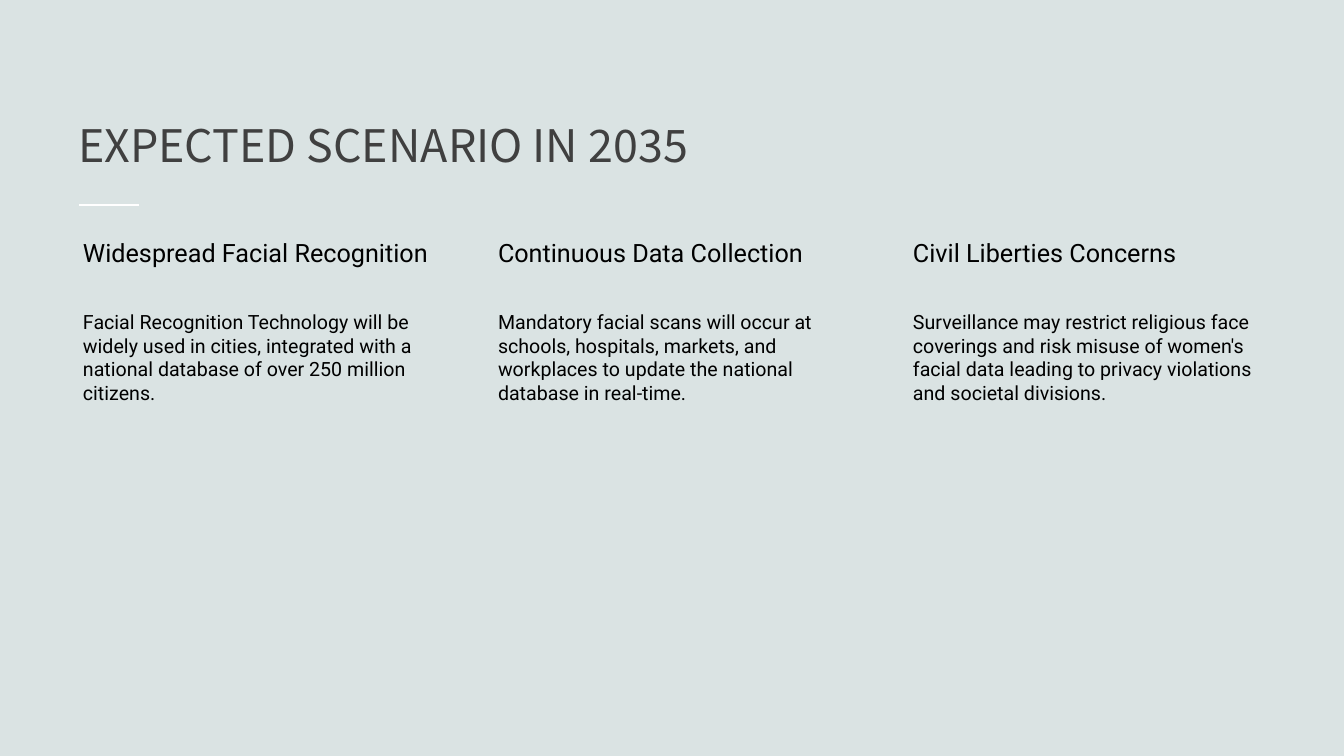
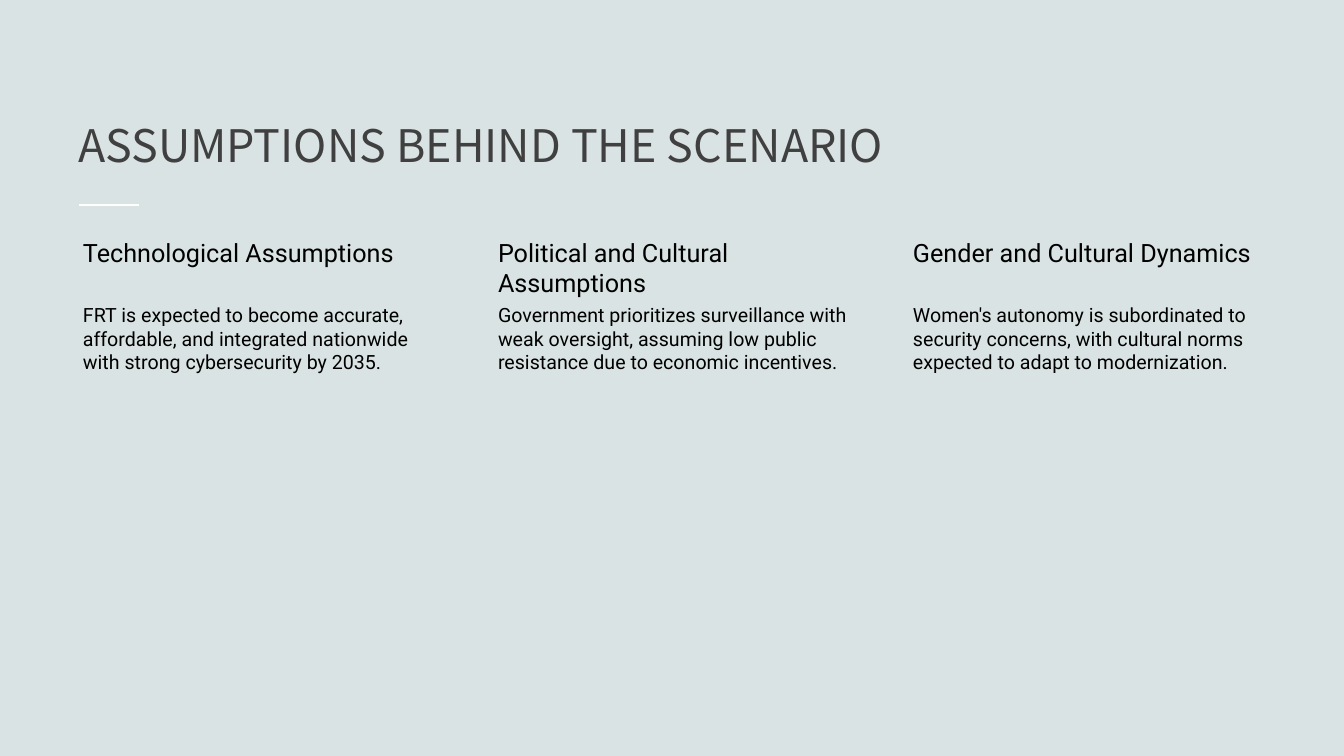
from pptx import Presentation
from pptx.dml.color import RGBColor
from pptx.enum.shapes import MSO_CONNECTOR
from pptx.enum.text import MSO_ANCHOR, MSO_AUTO_SIZE, PP_ALIGN
from pptx.oxml.ns import qn
from pptx.util import Emu, Pt
from lxml.etree import SubElement

SLIDES = [
    {
        "title": "EXPECTED SCENARIO IN 2035",
        "heading_height": 44,
        "body_top": 308,
        "columns": [
            ("Widespread Facial Recognition",
             "Facial Recognition Technology will be widely used in cities, integrated "
             "with a national database of over 250 million citizens."),
            ("Continuous Data Collection",
             "Mandatory facial scans will occur at schools, hospitals, markets, and "
             "workplaces to update the national database in real-time."),
            ("Civil Liberties Concerns",
             "Surveillance may restrict religious face coverings and risk misuse of "
             "women's facial data leading to privacy violations and societal divisions."),
        ],
    },
    {
        "title": "ASSUMPTIONS BEHIND THE SCENARIO",
        "heading_height": 67,
        "body_top": 301,
        "columns": [
            ("Technological Assumptions",
             "FRT is expected to become accurate, affordable, and integrated nationwide "
             "with strong cybersecurity by 2035."),
            ("Political and Cultural Assumptions",
             "Government prioritizes surveillance with weak oversight, assuming low "
             "public resistance due to economic incentives."),
            ("Gender and Cultural Dynamics",
             "Women's autonomy is subordinated to security concerns, with cultural "
             "norms expected to adapt to modernization."),
        ],
    },
]

BACKGROUND = RGBColor(0xDA, 0xE3, 0xE3)
TITLE_GRAY = RGBColor(0x40, 0x40, 0x40)
BLACK = RGBColor(0, 0, 0)
WHITE = RGBColor(0xFF, 0xFF, 0xFF)

TITLE_FONT = {"name": "Noto Sans CJK KR", "size": Pt(32), "color": TITLE_GRAY}
HEADING_FONT = {"name": "Roboto", "size": Pt(18), "color": BLACK}
BODY_FONT = {"name": "Roboto", "size": Pt(14), "color": BLACK}

PAGE_WIDTH, PAGE_HEIGHT = 1344, 756
LEFT, RIGHT, BOTTOM = 68, 1276, 681
TITLE_TOP, TITLE_HEIGHT = 79, 97
RULE_LEFT, RULE_WIDTH, RULE_TOP = 79, 60, 205
HEADING_TOP = 234
COLUMN_WIDTH, COLUMN_GAP = 378, 37
TEXT_INDENT, HEADING_INSET, BODY_INSET = 15, 3, 2


def px(length):
    return Emu(round(length * 12192000 / PAGE_WIDTH))


def place(shape, left, top, width, height):
    shape.left, shape.top = px(left), px(top)
    shape.width, shape.height = px(width), px(height)


def write(frame, text, style):
    para = frame.paragraphs[0]
    para.alignment = PP_ALIGN.LEFT
    span = para.add_run()
    span.text = text
    for name, value in style.items():
        if name == "color":
            span.font.color.rgb = value
        else:
            setattr(span.font, name, value)
    return para


def add_title(page, text):
    title = page.shapes.title
    place(title, LEFT, TITLE_TOP, RIGHT - LEFT, TITLE_HEIGHT)
    frame = title.text_frame
    frame.auto_size = MSO_AUTO_SIZE.NONE
    frame.vertical_anchor = MSO_ANCHOR.BOTTOM
    write(frame, text, TITLE_FONT).line_spacing = 0.8


def add_rule(page):
    """Draw the short white line under the title."""
    rule = page.shapes.add_connector(
        MSO_CONNECTOR.STRAIGHT, px(RULE_LEFT), px(RULE_TOP),
        px(RULE_LEFT + RULE_WIDTH), px(RULE_TOP))
    rule.line.color.rgb = WHITE
    rule.line.width = Pt(1)
    SubElement(rule.element.spPr, qn("a:effectLst"))


def add_text(group, left, top, height, text, style, inset):
    box = group.shapes.add_textbox(px(left), px(top), px(COLUMN_WIDTH), px(height))
    frame = box.text_frame
    frame.word_wrap = True
    frame.margin_left = px(TEXT_INDENT)
    frame.margin_top = frame.margin_right = frame.margin_bottom = px(inset)
    write(frame, text, style)


def add_columns(page, content):
    group = page.shapes.add_group_shape()
    body_top = content["body_top"]
    for index, (heading, body) in enumerate(content["columns"]):
        left = LEFT + index * (COLUMN_WIDTH + COLUMN_GAP)
        add_text(group, left, HEADING_TOP, content["heading_height"],
                 heading, HEADING_FONT, HEADING_INSET)
        add_text(group, left, body_top, BOTTOM - body_top,
                 body, BODY_FONT, BODY_INSET)


def main():
    deck = Presentation()
    deck.slide_width, deck.slide_height = px(PAGE_WIDTH), px(PAGE_HEIGHT)
    backdrop = deck.slide_master.background.fill
    backdrop.solid()
    backdrop.fore_color.rgb = BACKGROUND
    title_only = deck.slide_layouts.get_by_name("Title Only")
    for content in SLIDES:
        page = deck.slides.add_slide(title_only)
        add_rule(page)
        add_title(page, content["title"])
        add_columns(page, content)
    deck.save("out.pptx")


if __name__ == "__main__":
    main()
